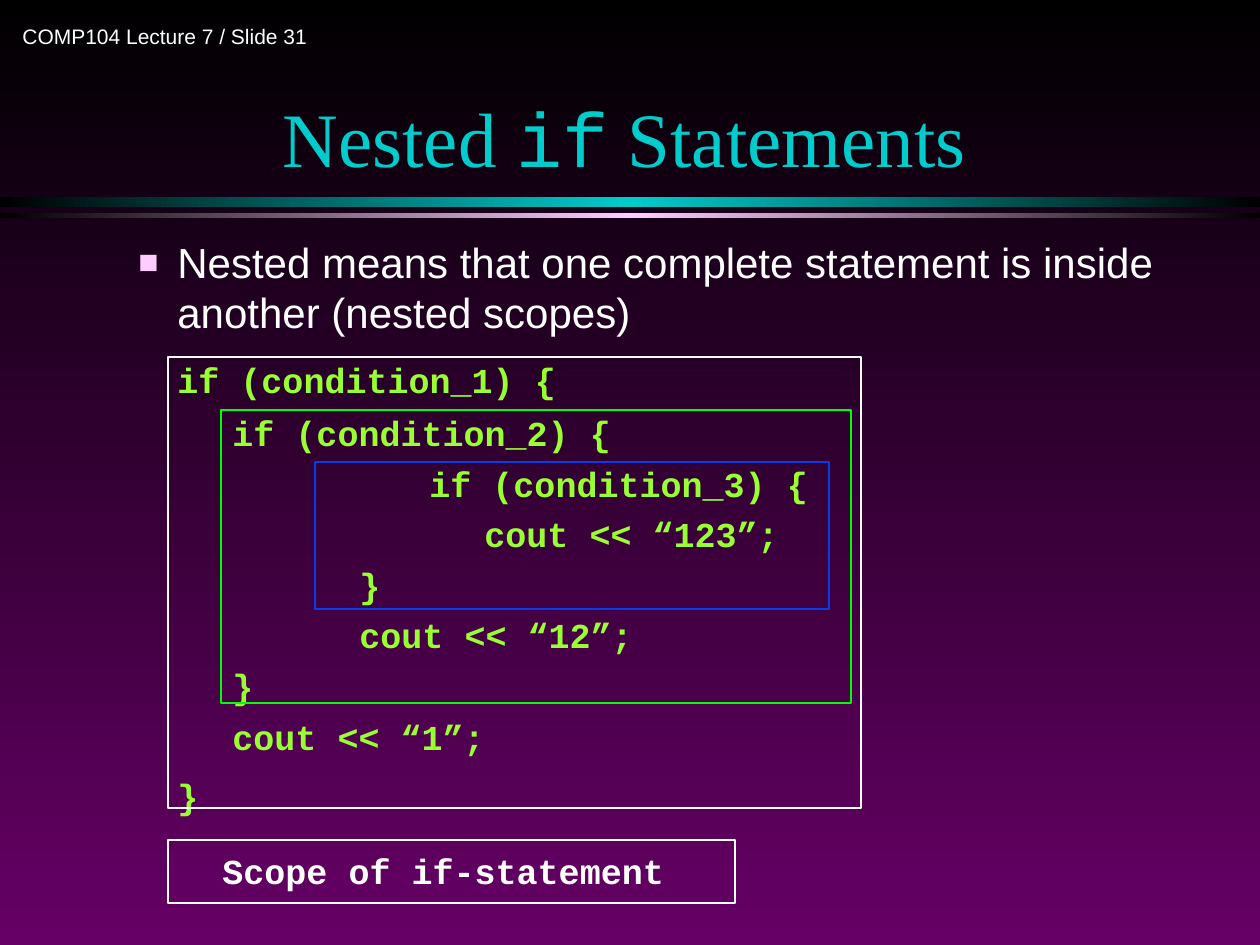
from copy import deepcopy
from typing import NamedTuple

from lxml import etree
from pptx import Presentation
from pptx.dml.color import RGBColor
from pptx.enum.shapes import MSO_SHAPE
from pptx.enum.text import MSO_ANCHOR, PP_ALIGN
from pptx.oxml.ns import qn
from pptx.util import Emu, Pt

RECTANGLE = MSO_SHAPE.RECTANGLE
TOP, MIDDLE, BOTTOM = MSO_ANCHOR.TOP, MSO_ANCHOR.MIDDLE, MSO_ANCHOR.BOTTOM
LEFT, CENTER = PP_ALIGN.LEFT, PP_ALIGN.CENTER
EMU_PER_PX = 914400 / 126
SANS, SERIF, MONO = "Arial", "Times New Roman", "Courier New"
COLORS = {
    "black": "000000", "purple": "660066", "teal": "00CCCC", "pink": "FFCCFF",
    "white": "FFFFFF", "code": "99FF33", "green": "00FF00", "blue": "063DE8",
}


class Box(NamedTuple):
    left: int
    top: int
    width: int
    height: int


class Band(NamedTuple):
    box: Box
    glow: str


class Scope(NamedTuple):
    box: Box
    color: str


class CodeLine(NamedTuple):
    text: str
    indent: int
    space_before: float = 5


BANDS = [
    Band(Box(0, 197, 1260, 10), "teal"),
    Band(Box(0, 213, 1260, 5), "pink"),
]
SCOPES = [
    Scope(Box(168, 357, 693, 451), "white"),
    Scope(Box(221, 410, 630, 293), "green"),
    Scope(Box(168, 840, 567, 63), "white"),
    Scope(Box(315, 462, 514, 147), "blue"),
]
CODE = [
    CodeLine("if (condition_1) {", 102, 12.4),
    CodeLine("if (condition_2) {", 157, 6.4),
    CodeLine("if (condition_3) {", 354),
    CodeLine("cout << “123”;", 409),
    CodeLine("}", 284),
    CodeLine("cout << “12”;", 284),
    CodeLine("}", 157),
    CodeLine("cout << “1”;", 157),
    CodeLine("}", 102, 9.8),
]


def px(length: int) -> Emu:
    return Emu(round(length * EMU_PER_PX))


def rgb(name: str) -> RGBColor:
    return RGBColor.from_string(COLORS[name])


def set_gradient(fill, owner, colors: list[str], angle: int) -> None:
    """Spread the colours evenly over a gradient fill held by owner."""
    fill.gradient()
    fill.gradient_angle = angle
    stop_list = next(owner.iter(qn("a:gsLst")))
    while len(stop_list) < len(colors):
        stop_list.append(deepcopy(stop_list[0]))
    for index, (stop, color) in enumerate(zip(fill.gradient_stops, colors)):
        stop.color.rgb = rgb(color)
        stop.position = index / (len(colors) - 1)


def add_rectangle(slide, box: Box):
    rectangle = slide.shapes.add_shape(RECTANGLE, *map(px, box))
    rectangle.shadow.inherit = False
    return rectangle


def add_band(slide, band: Band) -> None:
    strip = add_rectangle(slide, band.box)
    strip.line.fill.background()
    set_gradient(strip.fill, strip._element, ["black", band.glow, "black"], 0)


def add_scope(slide, scope: Scope) -> None:
    outline = add_rectangle(slide, scope.box)
    outline.fill.background()
    outline.line.color.rgb = rgb(scope.color)
    outline.line.width = Pt(1)


def add_frame(slide, box: Box, anchor=TOP, wrap: bool = True):
    frame = slide.shapes.add_textbox(*map(px, box)).text_frame
    frame.word_wrap = wrap
    frame.vertical_anchor = anchor
    return frame


def write(paragraph, text: str, *, font: str, size: int, color: str,
          bold: bool = False, align=LEFT) -> None:
    paragraph.alignment = align
    run = paragraph.add_run()
    run.text = text
    run.font.name = font
    run.font.size = Pt(size)
    run.font.bold = bold
    run.font.color.rgb = rgb(color)


def set_indent(paragraph, left: int, first: int = 0) -> None:
    properties = paragraph._p.get_or_add_pPr()
    properties.set("marL", str(px(left)))
    properties.set("indent", str(px(first)))


def add_square_bullet(paragraph) -> None:
    properties = paragraph._p.get_or_add_pPr()
    color = etree.SubElement(properties, qn("a:buClr"))
    etree.SubElement(color, qn("a:srgbClr"), val=COLORS["pink"])
    etree.SubElement(properties, qn("a:buSzPct"), val="80000")
    etree.SubElement(properties, qn("a:buFont"), typeface=SANS)
    etree.SubElement(properties, qn("a:buChar"), char="■")


def add_body(slide) -> None:
    body = add_frame(slide, Box(63, 231, 1155, 683))
    definition = body.paragraphs[0]
    set_indent(definition, 102, -39)
    add_square_bullet(definition)
    definition.line_spacing = Pt(28.6)
    write(definition,
          "Nested means that one complete statement is inside another (nested scopes)",
          font=SANS, size=24, color="white")
    for line in CODE:
        statement = body.add_paragraph()
        set_indent(statement, line.indent)
        statement.line_spacing = Pt(23.9)
        statement.space_before = Pt(line.space_before)
        write(statement, line.text, font=MONO, size=20, color="code", bold=True)


def main() -> None:
    deck = Presentation()
    deck.slide_width, deck.slide_height = px(1260), px(945)
    slide = deck.slides.add_slide(deck.slide_layouts[6])
    set_gradient(slide.background.fill, slide._element, ["black", "purple"], 270)
    for band in BANDS:
        add_band(slide, band)

    header = add_frame(slide, Box(10, 10, 347, 53), MIDDLE, wrap=False)
    write(header.paragraphs[0], "COMP104 Lecture 7 / Slide 31",
          font=SANS, size=12, color="white")

    title = add_frame(slide, Box(84, 31, 1081, 158), BOTTOM).paragraphs[0]
    for text, font in [("Nested ", SERIF), ("if", MONO), (" Statements", SERIF)]:
        write(title, text, font=font, size=44, color="teal", align=CENTER)

    add_body(slide)
    for scope in SCOPES:
        add_scope(slide, scope)

    legend = add_frame(slide, Box(210, 840, 624, 62), MIDDLE)
    write(legend.paragraphs[0], "Scope of if-statement",
          font=MONO, size=20, color="white", bold=True)
    deck.save("out.pptx")


if __name__ == "__main__":
    main()
